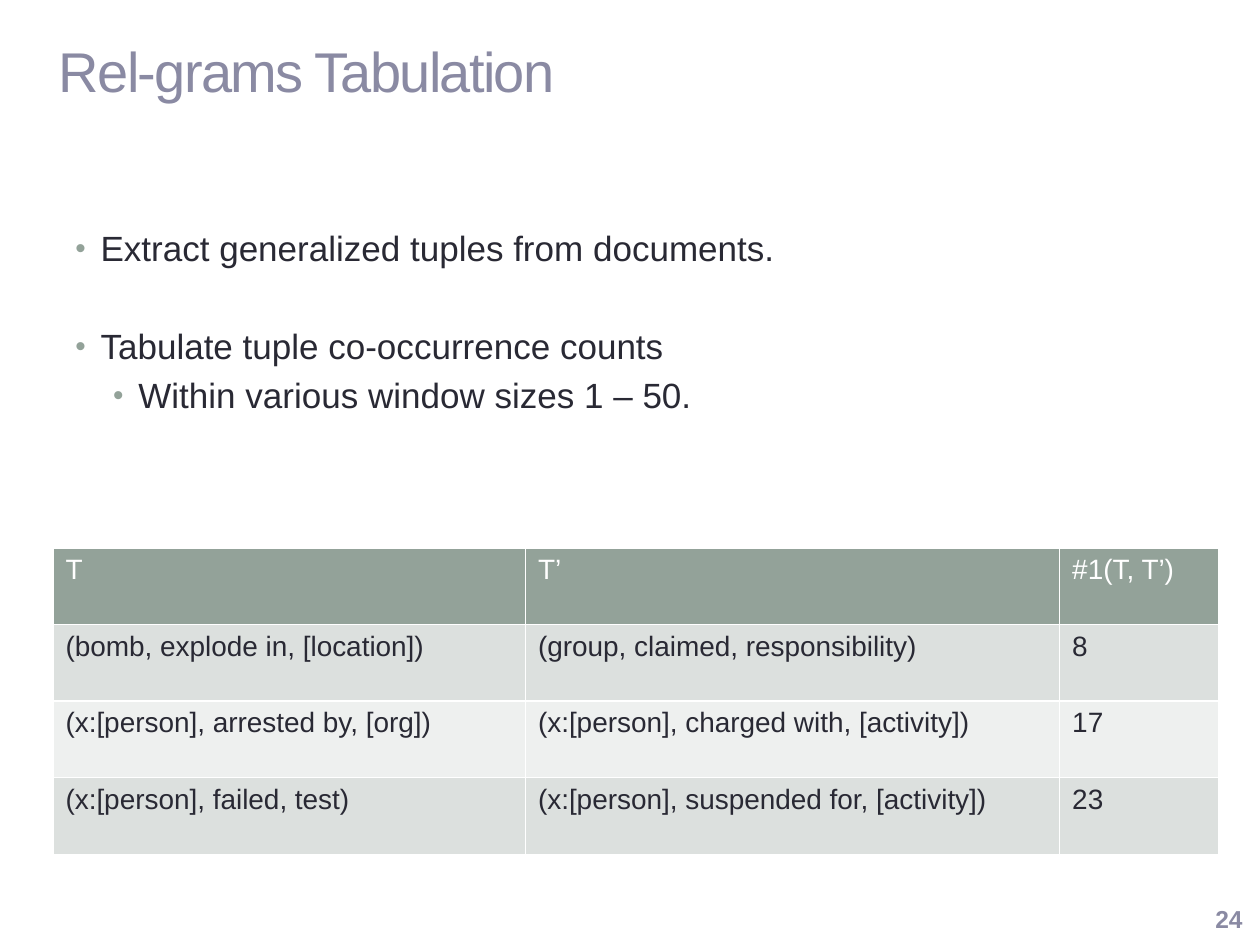
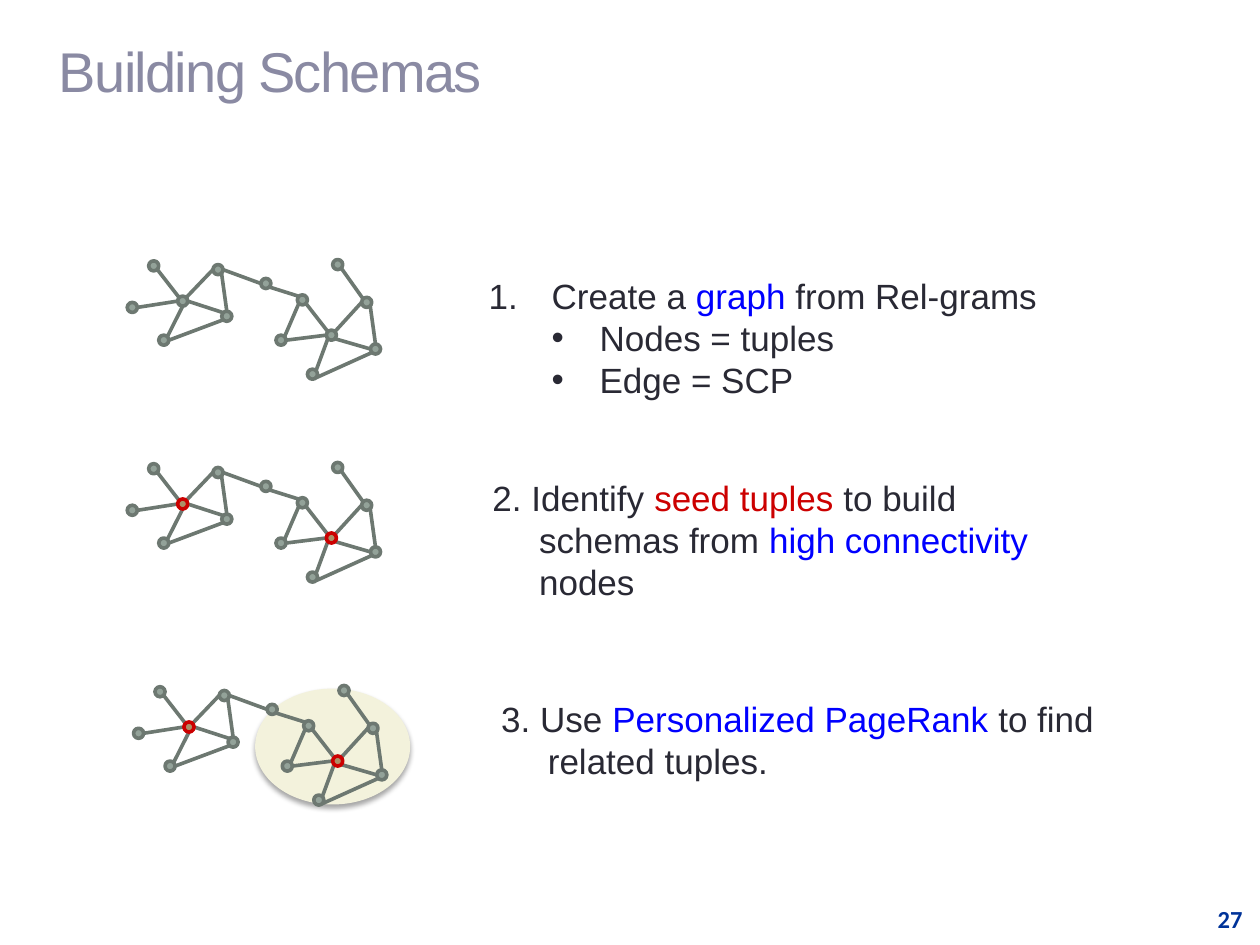
from dataclasses import dataclass
from math import cos, radians, sin
from typing import NamedTuple

from lxml import etree
from pptx import Presentation
from pptx.dml.color import RGBColor
from pptx.enum.shapes import MSO_CONNECTOR as Connector, MSO_SHAPE as Preset
from pptx.enum.text import MSO_ANCHOR as Anchor, PP_ALIGN as Align
from pptx.oxml.ns import qn
from pptx.util import Inches, Pt


# Theme
@dataclass(frozen=True)
class Theme:
    font: str = "Arial"
    number_font: str = "Calibri"
    title: str = "8A8AA3"
    text: str = "292934"
    white: str = "FFFFFF"
    accent: str = "93A299"
    accent_dark: str = "6D7871"
    band_odd: str = "DCE0DE"
    band_even: str = "EEF0EF"
    blue: str = "0000FF"
    red: str = "CC0000"
    navy: str = "003399"
    seed_fill: str = "AD8F67"
    highlight: str = "F3F2DC"
    title_size: int = 32
    body_size: int = 20
    table_size: int = 16
    number_size: int = 14


THEME = Theme()


class Box(NamedTuple):
    left: float
    top: float
    width: float
    height: float

    def lengths(self) -> list:
        return [Inches(value) for value in self]


class Span(NamedTuple):
    text: str
    color: str = THEME.text


class Item(NamedTuple):
    spans: list
    margin: float
    indent: float
    bullet: str = ""
    bullet_color: str = ""
    level: int = 0
    space_before: int = 0


class Edge(NamedTuple):
    start: str
    start_side: str
    end: str
    end_side: str


class Graph(NamedTuple):
    dx: float
    dy: float
    seeds: str = ""
    highlighted: bool = False


# Node corners (left, top) of the first graph; edges leave and enter at compass sides
NODE_SIZE = 0.08
NODES = {
    "a": (1.18, 2.07), "b": (1.01, 2.40), "c": (1.41, 2.35), "d": (1.69, 2.10),
    "e": (1.76, 2.47), "f": (2.07, 2.21), "g": (1.26, 2.66), "h": (2.64, 2.06),
    "i": (2.36, 2.34), "j": (2.19, 2.66), "k": (2.59, 2.62), "l": (2.87, 2.36),
    "m": (2.94, 2.73), "n": (2.44, 2.93),
}
ANGLES = {side: 45 * step for step, side in enumerate(["E", "SE", "S", "SW", "W", "NW", "N", "NE"])}
EDGES = [Edge(*line.split()) for line in (
    "c NW a SE", "b E c W", "g NE c S", "c NE d W", "c E e NW", "d E f W",
    "j NE i SW", "j E k W", "n NE k SW", "k NE l W", "f SE i NW", "g E e SW",
    "d SE e N", "i SE k NW", "k SE m W", "n SE m SW", "h SE l NW", "l SE m N",
)]
GRAPHS = [Graph(0, 0), Graph(0, 1.61, "ck"), Graph(0.05, 3.38, "ck", True)]
HIGHLIGHT = Box(2.03, 5.47, 1.22, 0.91)

# Table content
COLUMNS = [3.75, 4.24, 1.26]
ROWS = [
    ("T", "T’", "#1(T, T’)"),
    ("(bomb, explode in, [location])", "(group, claimed, responsibility)", "8"),
    ("(x:[person], arrested by, [org])", "(x:[person], charged with, [activity])", "17"),
    ("(x:[person], failed, test)", "(x:[person], suspended for, [activity])", "23"),
]


def rgb(color: str) -> RGBColor:
    return RGBColor.from_string(color)


def add_xml(parent, tag: str, **attributes: str):
    element = etree.SubElement(parent, qn(tag))
    for name, value in attributes.items():
        element.set(name, value)
    return element


def add_color(parent, color: str):
    return add_xml(parent, "a:srgbClr", val=color)


# Text
def style_run(run, size: int, color: str, font: str = THEME.font, bold: bool = False) -> None:
    run.font.name, run.font.size, run.font.bold = font, Pt(size), bold
    run.font.color.rgb = rgb(color)


def add_text_frame(slide, box: Box, anchor=Anchor.TOP):
    text_frame = slide.shapes.add_textbox(*box.lengths()).text_frame
    text_frame.word_wrap = True
    text_frame.vertical_anchor = anchor
    return text_frame


def add_title(slide, text: str) -> None:
    text_frame = add_text_frame(slide, Box(0.37, 0.02, 9.3, 1.08), Anchor.MIDDLE)
    text_frame.text = text
    run = text_frame.paragraphs[0].runs[0]
    style_run(run, THEME.title_size, THEME.title)
    run.font._element.set("spc", "-100")


def add_number(slide, number: int, color: str, font: str) -> None:
    text_frame = add_text_frame(slide, Box(9.37, 7.11, 0.59, 0.36), Anchor.MIDDLE)
    text_frame.text = str(number)
    paragraph = text_frame.paragraphs[0]
    paragraph.alignment = Align.RIGHT
    style_run(paragraph.runs[0], THEME.number_size, color, font, True)


def format_item(paragraph, item: Item) -> None:
    paragraph.level = item.level
    paragraph.space_before = Pt(item.space_before)
    properties = paragraph._p.get_or_add_pPr()
    properties.set("marL", str(Inches(item.margin)))
    properties.set("indent", str(Inches(item.indent)))
    if item.bullet_color:
        add_color(add_xml(properties, "a:buClr"), item.bullet_color)
        add_xml(properties, "a:buSzPct", val="85000")
    if item.bullet == "1.":
        add_xml(properties, "a:buFont", typeface=THEME.font)
        add_xml(properties, "a:buAutoNum", type="arabicPeriod")
    elif item.bullet:
        add_xml(properties, "a:buFont", typeface=THEME.font)
        add_xml(properties, "a:buChar", char=item.bullet)


def add_items(slide, box: Box, items: list) -> None:
    text_frame = add_text_frame(slide, box)
    for index, item in enumerate(items):
        paragraph = text_frame.add_paragraph() if index else text_frame.paragraphs[0]
        format_item(paragraph, item)
        for span in item.spans:
            run = paragraph.add_run()
            run.text = span.text
            style_run(run, THEME.body_size, span.color)


# Table
def format_cell(cell, text: str, color: str, fill: str) -> None:
    cell.text = text
    style_run(cell.text_frame.paragraphs[0].runs[0], THEME.table_size, color)
    properties = cell._tc.get_or_add_tcPr()
    for tag in ("a:lnL", "a:lnR", "a:lnT", "a:lnB"):
        border = add_xml(properties, tag, w=str(Pt(1)))
        add_color(add_xml(border, "a:solidFill"), THEME.white)
    cell.fill.solid()
    cell.fill.fore_color.rgb = rgb(fill)


def add_count_table(slide) -> None:
    box = Box(0.42, 4.35, sum(COLUMNS), 2.43)
    table = slide.shapes.add_table(len(ROWS), len(COLUMNS), *box.lengths()).table
    for column, width in zip(table.columns, COLUMNS):
        column.width = Inches(width)
    for row, values in enumerate(ROWS):
        color = THEME.text if row else THEME.white
        fill = (THEME.band_odd if row % 2 else THEME.band_even) if row else THEME.accent
        for column, value in enumerate(values):
            format_cell(table.cell(row, column), value, color, fill)


# Graph
def add_ellipse(group, box: Box, fill: str, line: str, line_width: float):
    ellipse = group.shapes.add_shape(Preset.OVAL, *box.lengths())
    ellipse.shadow.inherit = False
    ellipse.fill.solid()
    ellipse.fill.fore_color.rgb = rgb(fill)
    ellipse.line.color.rgb = rgb(line)
    ellipse.line.width = Pt(line_width)
    return ellipse


def add_highlight(group) -> None:
    ellipse = add_ellipse(group, HIGHLIGHT, THEME.highlight, THEME.highlight, 0.75)
    effects = ellipse._element.spPr.find(qn("a:effectLst"))
    shadow = add_xml(effects, "a:outerShdw", blurRad=str(Pt(3.1)), dist=str(Pt(1.8)),
                     dir="5400000", rotWithShape="0")
    add_xml(add_color(shadow, "000000"), "a:alpha", val="35000")


def side_point(graph: Graph, node: str, side: str) -> list:
    left, top = NODES[node]
    radius, angle = NODE_SIZE / 2, radians(ANGLES[side])
    return [Inches(left + graph.dx + radius * (1 + cos(angle))),
            Inches(top + graph.dy + radius * (1 + sin(angle)))]


def add_graph(slide, graph: Graph) -> None:
    group = slide.shapes.add_group_shape()
    if graph.highlighted:
        add_highlight(group)
    for edge in EDGES:
        connector = group.shapes.add_connector(
            Connector.STRAIGHT, *side_point(graph, edge.start, edge.start_side),
            *side_point(graph, edge.end, edge.end_side))
        connector.line.color.rgb = rgb(THEME.accent_dark)
        connector.line.width = Pt(2.08)
        add_xml(connector._element.spPr, "a:effectLst")
    for name, (left, top) in NODES.items():
        box = Box(left + graph.dx, top + graph.dy, NODE_SIZE, NODE_SIZE)
        is_seed = name in graph.seeds
        add_ellipse(group, box, THEME.seed_fill if is_seed else THEME.accent,
                    THEME.red if is_seed else THEME.accent_dark, 2.08)


# Slides
def build_tabulation(slide) -> None:
    add_title(slide, "Rel-grams Tabulation")
    add_items(slide, Box(0.5, 1.75, 8.64, 2.5), [
        Item([Span("Extract generalized tuples from documents.")], 0.2, -0.2, "•", THEME.accent, 0, 4),
        Item([Span("Tabulate tuple co-occurrence counts")], 0.2, -0.2, "•", THEME.accent, 0, 32),
        Item([Span("Within various window sizes 1 – 50.")], 0.5, -0.2, "•", THEME.accent, 1, 4),
    ])
    add_number(slide, 24, THEME.title, THEME.font)
    add_count_table(slide)


def build_schemas(slide) -> None:
    add_title(slide, "Building Schemas")
    add_number(slide, 27, THEME.navy, THEME.number_font)
    for graph in GRAPHS:
        add_graph(slide, graph)
    add_items(slide, Box(3.78, 2.13, 5.11, 1.11), [
        Item([Span("Create a "), Span("graph ", THEME.blue), Span("from Rel-grams")], 0.5, -0.5, "1."),
        Item([Span("Nodes = tuples")], 0.88, -0.38, "•", level=1),
        Item([Span("Edge = SCP")], 0.88, -0.38, "•", level=1),
    ])
    add_items(slide, Box(3.81, 3.73, 5.05, 1.11), [
        Item([Span("2. Identify "), Span("seed tuples ", THEME.red), Span("to build schemas from "),
              Span("high connectivity ", THEME.blue), Span("nodes")], 0.37, -0.37),
    ])
    add_items(slide, Box(3.88, 5.49, 5.36, 0.77), [
        Item([Span("3. Use "), Span("Personalized PageRank ", THEME.blue),
              Span("to find related tuples.")], 0.37, -0.37),
    ])


def main() -> None:
    presentation = Presentation()
    presentation.slide_width, presentation.slide_height = Inches(10), Inches(7.5)
    for build in (build_tabulation, build_schemas):
        build(presentation.slides.add_slide(presentation.slide_layouts[6]))
    presentation.save("out.pptx")


if __name__ == "__main__":
    main()
